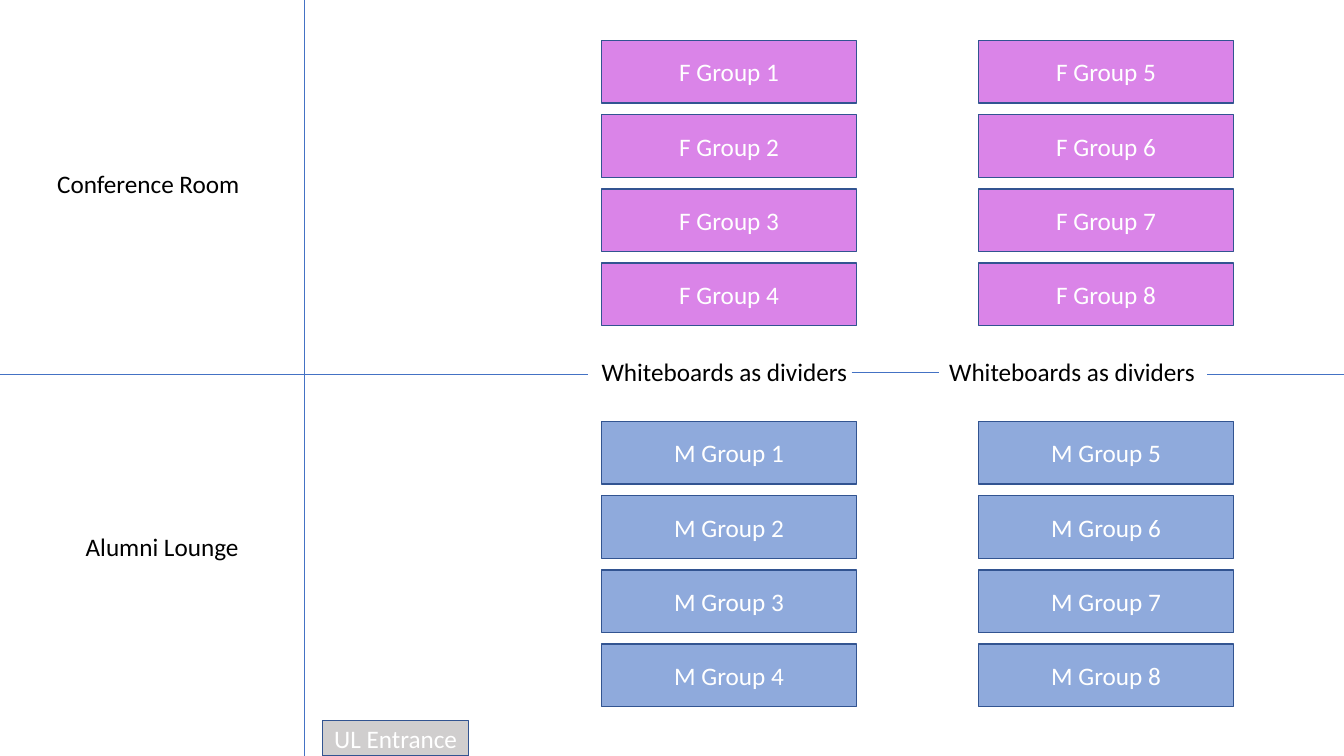
import pptx
import pptx.dml.color
import pptx.enum.shapes
import pptx.enum.text
import pptx.oxml.ns
import pptx.util
from lxml import etree
from pptx.util import Cm

COLUMN_LEFTS = (15.16, 24.66)
GROUPS_PER_COLUMN = 4
GROUP_WIDTH, GROUP_HEIGHT, GROUP_PITCH = 6.43, 1.58, 1.87


def color(hex_string):
    return pptx.dml.color.RGBColor.from_string(hex_string)


def set_text(shape, text, hex_string, alignment):
    shape.text_frame.text = text
    paragraph = shape.text_frame.paragraphs[0]
    paragraph.alignment = alignment
    font = paragraph.runs[0].font
    font.name = "Calibri"
    font.size = pptx.util.Pt(18)
    font.color.rgb = color(hex_string)


def add_box(slide, text, fill, left, top, width, height):
    shape = slide.shapes.add_shape(
        pptx.enum.shapes.MSO_SHAPE.RECTANGLE, Cm(left), Cm(top), Cm(width), Cm(height))
    shape.shadow.inherit = False
    shape.fill.solid()
    shape.fill.fore_color.rgb = color(fill)
    shape.line.color.rgb = color("325491")
    shape.line.width = pptx.util.Pt(1)
    shape.text_frame.word_wrap = True
    shape.text_frame.vertical_anchor = pptx.enum.text.MSO_ANCHOR.MIDDLE
    set_text(shape, text, "FFFFFF", pptx.enum.text.PP_ALIGN.CENTER)


def add_groups(slide, letter, fill, top):
    """Number the groups down the first column, then down the second."""
    for column, left in enumerate(COLUMN_LEFTS):
        for row in range(GROUPS_PER_COLUMN):
            number = column * GROUPS_PER_COLUMN + row + 1
            add_box(slide, f"{letter} Group {number}", fill,
                    left, top + row * GROUP_PITCH, GROUP_WIDTH, GROUP_HEIGHT)


def add_label(slide, text, left, top, width):
    label = slide.shapes.add_textbox(Cm(left), Cm(top), Cm(width), Cm(1.03))
    label.text_frame.word_wrap = True
    label.text_frame.auto_size = pptx.enum.text.MSO_AUTO_SIZE.SHAPE_TO_FIT_TEXT
    set_text(label, text, "000000", pptx.enum.text.PP_ALIGN.LEFT)


def add_divider(slide, start_x, start_y, end_x, end_y):
    line = slide.shapes.add_connector(
        pptx.enum.shapes.MSO_CONNECTOR.STRAIGHT,
        Cm(start_x), Cm(start_y), Cm(end_x), Cm(end_y))
    line.line.color.rgb = color("4472C4")
    line.line.width = pptx.util.Pt(0.5)
    etree.SubElement(line._element.spPr, pptx.oxml.ns.qn("a:effectLst"))


def main():
    presentation = pptx.Presentation()
    presentation.slide_width = Cm(33.87)
    presentation.slide_height = Cm(19.05)
    slide = presentation.slides.add_slide(presentation.slide_layouts[6])

    add_groups(slide, "M", "8FAADC", 10.62)
    add_divider(slide, -0.23, 9.43, 14.81, 9.43)
    add_divider(slide, 7.67, 0, 7.67, 19.18)
    add_label(slide, "Alumni Lounge", 1.91, 13.26, 6.1)
    add_label(slide, "Conference Room", 1.19, 4.11, 6.1)
    add_groups(slide, "F", "DA84E8", 1.02)
    add_box(slide, "UL Entrance", "D0CECE", 8.13, 18.16, 3.68, 0.89)
    for left in (23.67, 14.91):
        add_label(slide, "Whiteboards as dividers", left, 8.86, 8.41)
    add_divider(slide, 21.46, 9.39, 23.67, 9.39)
    add_divider(slide, 30.43, 9.43, 34.32, 9.43)

    presentation.save("out.pptx")


if __name__ == "__main__":
    main()
